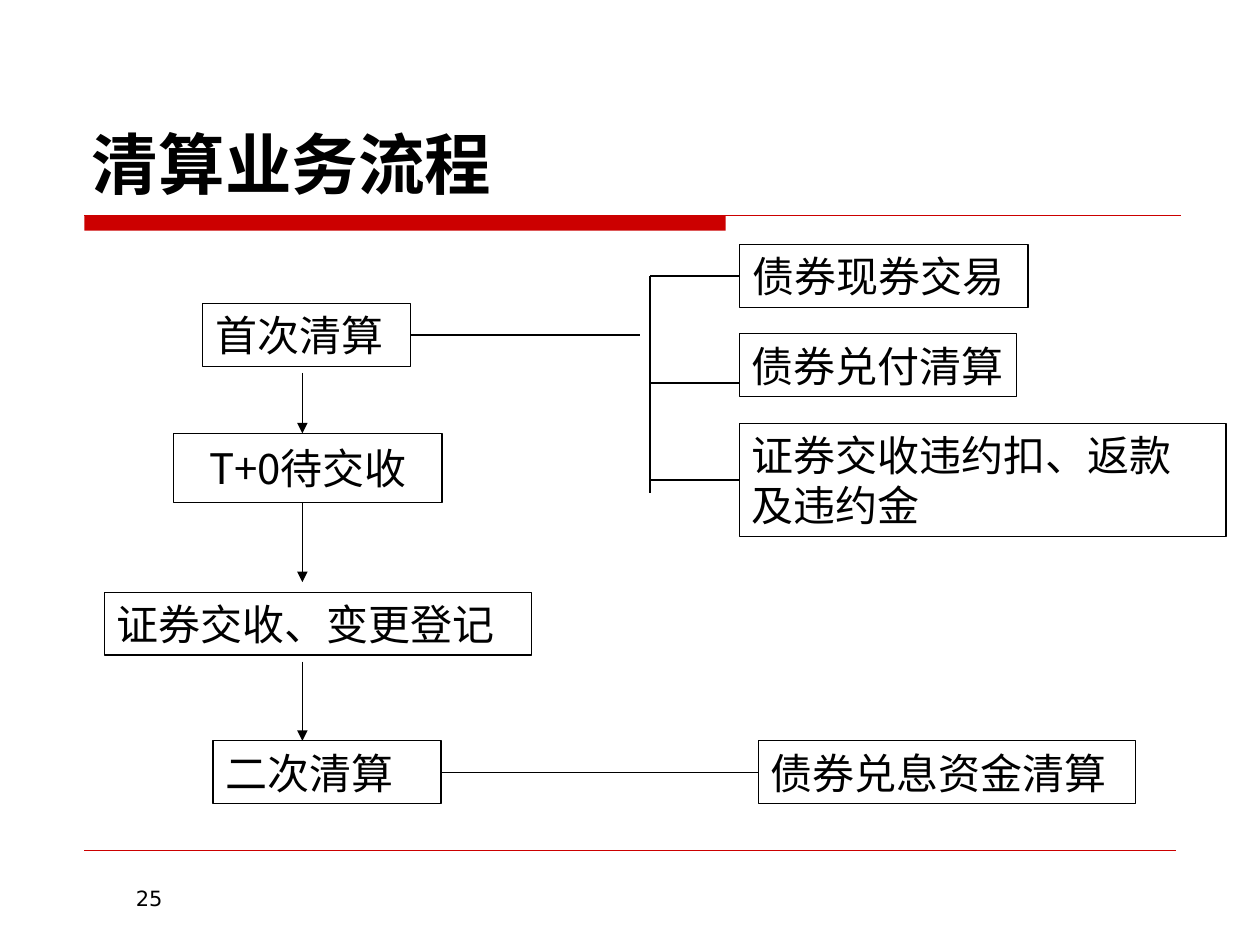
"""Build the clearing process flow slide."""
import pptx
import pptx.dml.color
import pptx.enum.shapes
import pptx.enum.text
import pptx.oxml
import pptx.oxml.ns
import pptx.util

Inches = pptx.util.Inches
Align = pptx.enum.text.PP_ALIGN
Anchor = pptx.enum.text.MSO_ANCHOR
AutoSize = pptx.enum.text.MSO_AUTO_SIZE
RECTANGLE = pptx.enum.shapes.MSO_SHAPE.RECTANGLE
STRAIGHT = pptx.enum.shapes.MSO_CONNECTOR.STRAIGHT
COLORS = {"black": "000000", "red": "CC0000"}
CJK, LATIN = "Noto Sans CJK SC", "DejaVu Sans"
TOP, LEFT, BOTTOM, RIGHT = range(4)


def write_text(shape, text, font_name, size, frame_format, align=Align.LEFT, bold=False):
    for name, value in frame_format.items():
        setattr(shape.text_frame, name, value)
    paragraph = shape.text_frame.paragraphs[0]
    paragraph.alignment = align
    run = paragraph.add_run()
    run.text = text
    font_format = {"name": font_name, "size": pptx.util.Pt(size), "bold": bold}
    for name, value in font_format.items():
        setattr(run.font, name, value)
    run.font.color.rgb = pptx.dml.color.RGBColor.from_string(COLORS["black"])
    east_asian = pptx.oxml.parse_xml(f'<a:ea {pptx.oxml.ns.nsdecls("a")} typeface="{CJK}"/>')
    run.font._element.find(pptx.oxml.ns.qn("a:latin")).addnext(east_asian)


def add_line(start, end, color="black", width=0.75, arrow=False):
    connector = slide.shapes.add_connector(STRAIGHT, *map(Inches, start + end))
    connector.line.width = pptx.util.Pt(width)
    connector.line.color.rgb = pptx.dml.color.RGBColor.from_string(COLORS[color])
    namespace = pptx.oxml.ns.nsdecls("a")
    if arrow:
        connector.line._get_or_add_ln().append(
            pptx.oxml.parse_xml(f'<a:tailEnd {namespace} type="triangle"/>'))
    connector._element.spPr.append(pptx.oxml.parse_xml(f"<a:effectLst {namespace}/>"))
    return connector


presentation = pptx.Presentation()
presentation.slide_width, presentation.slide_height = Inches(10), Inches(7.5)
slide = presentation.slides.add_slide(presentation.slide_layouts[5])

title = slide.shapes.title
title_place = {"left": 0.63, "top": 0.33, "width": 8.75, "height": 1.33}
for name, value in title_place.items():
    setattr(title, name, Inches(value))
write_text(title, "清算业务流程", CJK, 38,
           {"vertical_anchor": Anchor.BOTTOM, "word_wrap": True, "auto_size": AutoSize.NONE},
           bold=True)

title_bar = slide.shapes.add_shape(RECTANGLE, *map(Inches, (0.67, 1.71, 5.09, 0.12)))
title_bar.shadow.inherit = False
title_bar.fill.solid()
title_bar.fill.fore_color.rgb = pptx.dml.color.RGBColor.from_string(COLORS["red"])
title_bar.line.fill.background()
add_line((0.67, 1.71), (9.37, 1.71), "red")
add_line((0.67, 6.75), (9.33, 6.75), "red", 0.25)

box_rows = [
    ("首次清算", 1.61, 2.41, 1.65, 0.5, CJK),
    ("T+0待交收", 1.38, 3.44, 2.13, 0.55, CJK),
    ("证券交收、变更登记", 0.83, 4.7, 3.39, 0.5, CJK),
    ("二次清算", 1.69, 5.88, 1.81, 0.5, CJK),
    ("债券现券交易", 5.87, 1.94, 2.29, 0.5, CJK),
    ("债券兑付清算", 5.87, 2.65, 2.2, 0.5, CJK),
    ("证券交收违约扣、返款及违约金", 5.87, 3.36, 3.86, 0.9, LATIN),
    ("债券兑息资金清算", 6.02, 5.88, 2.99, 0.5, LATIN),
]
top_text = {"vertical_anchor": Anchor.TOP, "word_wrap": True,
            "auto_size": AutoSize.SHAPE_TO_FIT_TEXT}
special_formats = {
    "T+0待交收": {"vertical_anchor": Anchor.MIDDLE, "word_wrap": False,
                "auto_size": AutoSize.NONE},
    "债券兑付清算": {**top_text, "word_wrap": False},
}
boxes = {}
for text, left, top, width, height, font_name in box_rows:
    box = slide.shapes.add_shape(RECTANGLE, *map(Inches, (left, top, width, height)))
    box.shadow.inherit = False
    box.fill.background()
    box.line.width = pptx.util.Pt(0.75)
    box.line.color.rgb = pptx.dml.color.RGBColor.from_string(COLORS["black"])
    write_text(box, text, font_name, 24, special_formats.get(text, top_text),
               Align.CENTER if text == "T+0待交收" else Align.LEFT)
    boxes[text] = box

for start_y, end_y in [(2.96, 3.44), (3.99, 4.62), (5.25, 5.88)]:
    add_line((2.4, start_y), (2.4, end_y), arrow=True)

add_line((5.16, 2.19), (5.16, 3.91))
add_line((5.16, 3.04), (5.87, 3.04))
for text, y in [("债券现券交易", 2.19), ("证券交收违约扣、返款及违约金", 3.81)]:
    add_line((5.16, y), (5.87, y)).end_connect(boxes[text], LEFT)
add_line((3.26, 2.66), (5.08, 2.66)).begin_connect(boxes["首次清算"], RIGHT)
second_link = add_line((3.5, 6.13), (6.02, 6.13))
second_link.begin_connect(boxes["二次清算"], RIGHT)
second_link.end_connect(boxes["债券兑息资金清算"], LEFT)

page_number = slide.shapes.add_textbox(*map(Inches, (0.98, 6.98, 3.94, 0.39)))
write_text(page_number, "25", LATIN, 12, {"word_wrap": True})

presentation.save("out.pptx")
